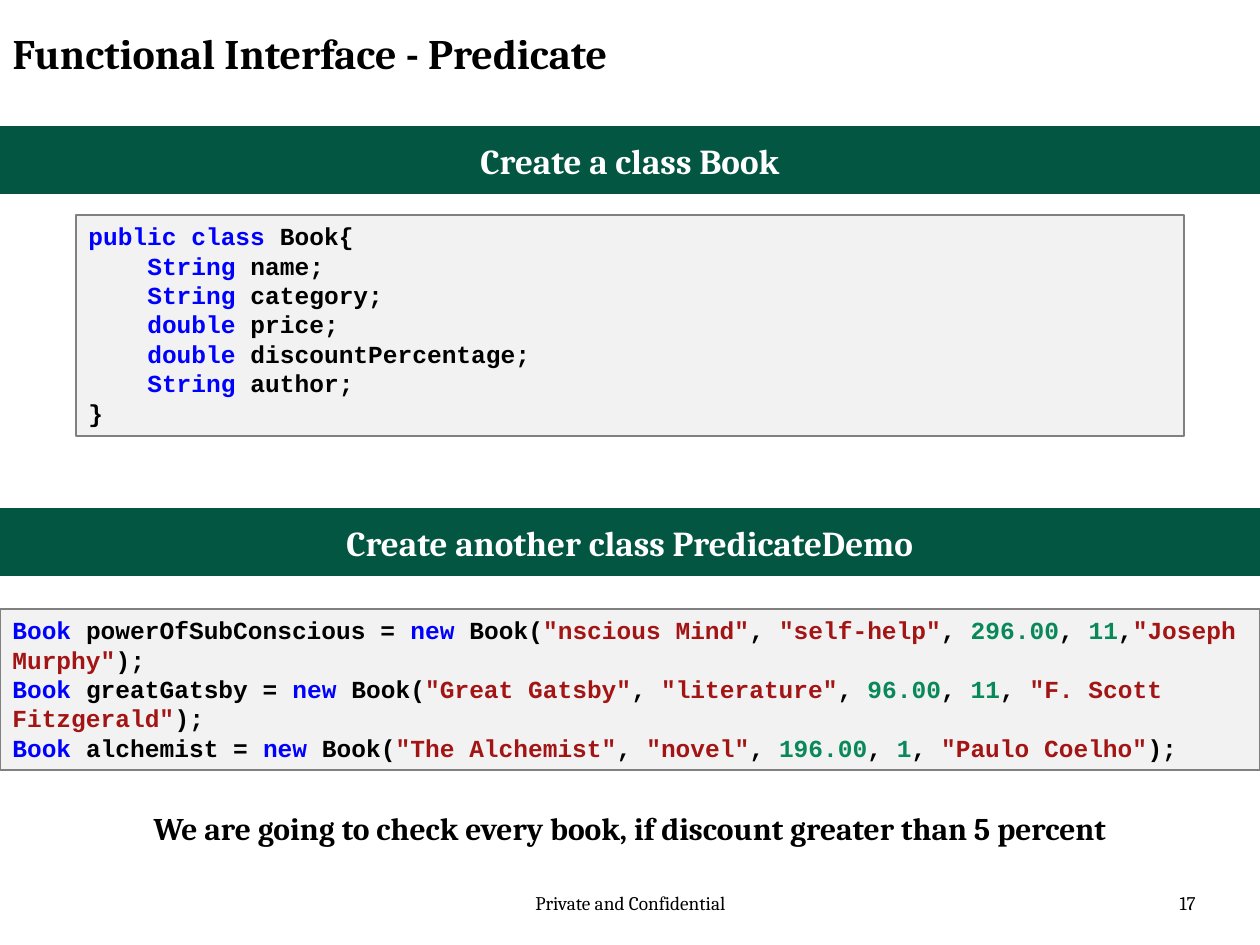
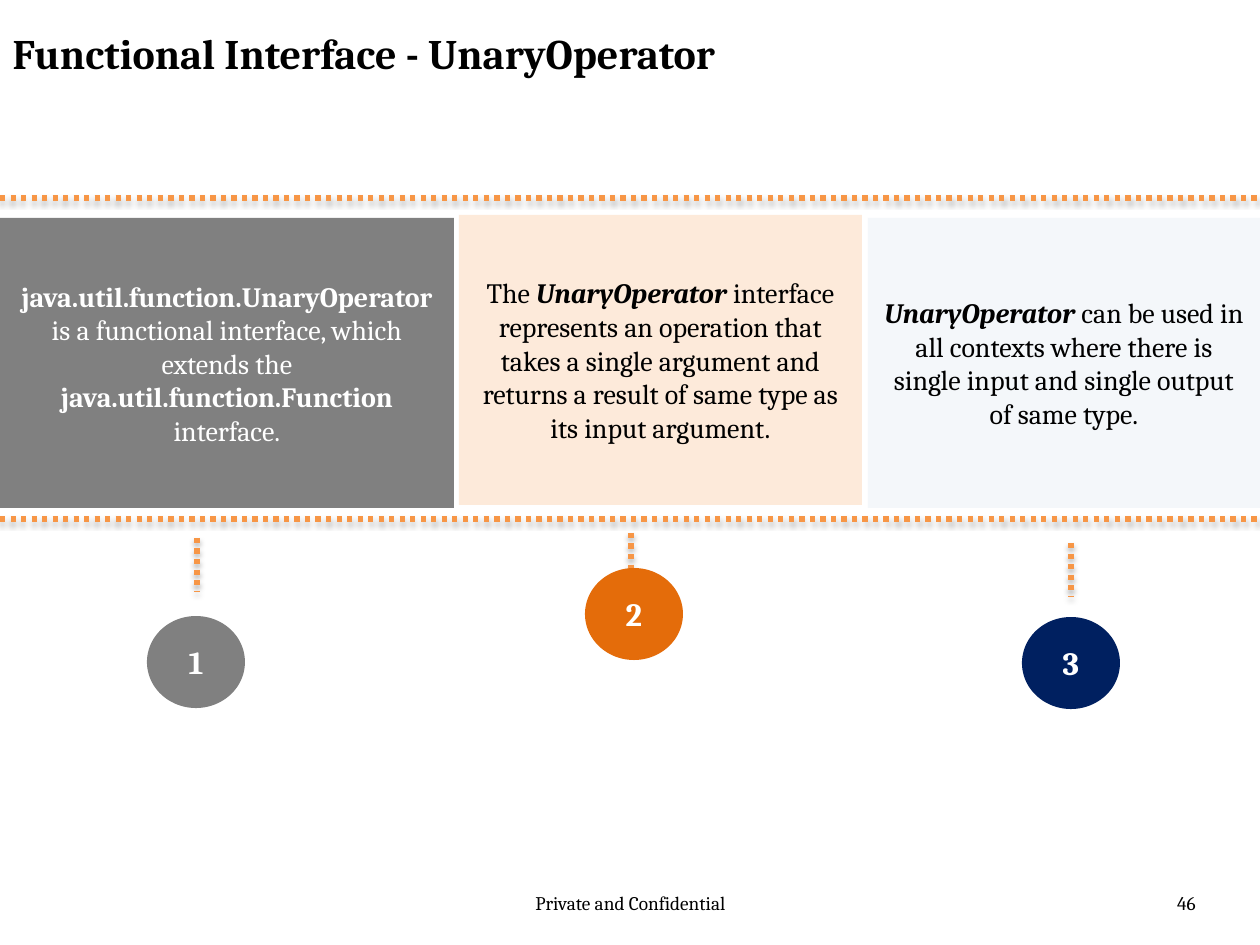
"""Build two slides on the Predicate and UnaryOperator functional interfaces."""
from dataclasses import dataclass

from lxml.etree import SubElement
from pptx import Presentation
from pptx.dml.color import RGBColor
from pptx.enum.dml import MSO_LINE
from pptx.enum.shapes import MSO_CONNECTOR as CONNECTOR, MSO_SHAPE as SHAPE
from pptx.enum.text import MSO_ANCHOR as ANCHOR, PP_ALIGN as ALIGN
from pptx.oxml.ns import qn
from pptx.util import Emu, Pt


@dataclass(frozen=True)
class Theme:
    """Colours, fonts and type sizes of the deck."""
    serif: str = "Cambria"
    mono: str = "Courier New"
    black: str = "000000"
    white: str = "FFFFFF"
    green: str = "035642"
    panel: str = "F2F2F2"
    gray: str = "808080"
    peach: str = "FDEADA"
    pale_blue: str = "DCE6F2"
    orange: str = "E46C0A"
    navy: str = "002060"
    dots: str = "F79646"
    keyword: str = "0000FF"
    string: str = "A31515"
    number: str = "09885A"
    title_size: float = 24
    band_size: float = 20
    badge_size: float = 18.5
    message_size: float = 18
    card_size: float = 16
    code_size: float = 14
    footer_size: float = 11


THEME = Theme()
PX = 914400 / 126
WIDTH, HEIGHT = 1260, 945

KEYWORD = {"color": THEME.keyword}
STRING = {"color": THEME.string}
NUMBER = {"color": THEME.number}
BOLD = {"bold": True}
TERM = {"bold": True, "italic": True}

FOOTER = "Private and Confidential"
PREDICATE = {"title": "Functional Interface - Predicate", "number": "17"}
UNARY = {"title": "Functional Interface - UnaryOperator", "number": "46"}
BANDS = [("Create a class Book", 126), ("Create another class PredicateDemo", 508)]
FIELDS = [
    ("String", "name"),
    ("String", "category"),
    ("double", "price"),
    ("double", "discountPercentage"),
    ("String", "author"),
]
BOOKS = [
    ("powerOfSubConscious", "nscious Mind", "self-help", "296.00", "11", ",", "Joseph Murphy"),
    ("greatGatsby", "Great Gatsby", "literature", "96.00", "11", ", ", "F. Scott Fitzgerald"),
    ("alchemist", "The Alchemist", "novel", "196.00", "1", ", ", "Paulo Coelho"),
]
MESSAGE = "We are going to check every book, if discount greater than 5 percent"
CARDS = [
    {"box": (0, 218, 454, 290), "fill": THEME.gray, "color": THEME.white, "alpha": None,
     "spans": [("java.util.function.UnaryOperator", BOLD),
               " is a functional interface, which extends the ",
               ("java.util.function.Function ", BOLD), "interface."]},
    {"box": (459, 215, 403, 290), "fill": THEME.peach, "color": THEME.black, "alpha": None,
     "spans": ["The ", ("UnaryOperator ", TERM),
               "interface represents an operation that takes a single argument "
               "and returns a result of same type as its input argument."]},
    {"box": (868, 218, 392, 290), "fill": THEME.pale_blue, "color": THEME.black, "alpha": 31,
     "spans": [("UnaryOperator ", TERM),
               "can be used in all contexts where there is single input "
               "and single output of same type."]},
]
RULES = [198, 519]
STEM_LENGTH = 54
STEMS = [(631, 533), (197, 538), (1071, 543)]
BADGES = [(147, 616, THEME.gray), (585, 568, THEME.orange), (1022, 617, THEME.navy)]


def emu(*lengths):
    """Turn px lengths into EMU."""
    return [Emu(round(length * PX)) for length in lengths]


def rgb(color):
    """Turn a hex string into a colour."""
    return RGBColor.from_string(color)


def write(frame, paragraphs, size, color=THEME.black, font=THEME.serif, bold=False,
          align=ALIGN.LEFT, anchor=ANCHOR.TOP):
    """Fill a text frame with paragraphs of plain or formatted spans."""
    frame.word_wrap = True
    frame.vertical_anchor = anchor
    for index, spans in enumerate(paragraphs):
        para = frame.paragraphs[0] if index == 0 else frame.add_paragraph()
        para.alignment = align
        for span in spans:
            text, style = (span, {}) if isinstance(span, str) else span
            run = para.add_run()
            run.text = text
            run.font.name = font
            run.font.size = Pt(size)
            run.font.bold = style.get("bold", bold)
            run.font.italic = style.get("italic", False)
            run.font.color.rgb = rgb(style.get("color", color))


def add_box(page, kind, box, fill, line=None, alpha=None):
    """Add a flat filled shape and return it."""
    shape = page.shapes.add_shape(kind, *emu(*box))
    shape.shadow.inherit = False
    shape.fill.solid()
    shape.fill.fore_color.rgb = rgb(fill)
    if alpha is not None:
        color = shape.fill._xPr.find(qn("a:solidFill"))[0]
        SubElement(color, qn("a:alpha"), val=str(alpha * 1000))
    if line:
        shape.line.color.rgb = rgb(line)
        shape.line.width = Pt(0.75)
    else:
        shape.line.fill.background()
    return shape


def add_label(page, box, text, **style):
    """Add a text box holding one line."""
    write(page.shapes.add_textbox(*emu(*box)).text_frame, [[text]], **style)


def add_code(page, box, lines):
    """Add a code panel."""
    panel = add_box(page, SHAPE.RECTANGLE, box, THEME.panel, line=THEME.gray)
    write(panel.text_frame, lines, size=THEME.code_size, font=THEME.mono, bold=True)


def add_dotted_line(page, *ends):
    """Add a dotted line with a soft shadow."""
    line = page.shapes.add_connector(CONNECTOR.STRAIGHT, *emu(*ends))
    line.line.color.rgb = rgb(THEME.dots)
    line.line.width = Pt(3)
    line.line.dash_style = MSO_LINE.ROUND_DOT
    effects = SubElement(line._element.spPr, qn("a:effectLst"))
    shadow = SubElement(effects, qn("a:outerShdw"), blurRad=str(Pt(3.1)), dist=str(Pt(1.8)),
                        dir="5400000", rotWithShape="0")
    color = SubElement(shadow, qn("a:srgbClr"), val=THEME.black)
    SubElement(color, qn("a:alpha"), val="35000")


def add_page(deck, title, number):
    """Add a page with its title and footer."""
    page = deck.slides.add_slide(deck.slide_layouts[5])
    heading = page.shapes.title
    heading.left, heading.top, heading.width, heading.height = emu(0, 21, 956, 78)
    write(heading.text_frame, [[title]], size=THEME.title_size, bold=True)
    add_label(page, (431, 885, 399, 50), FOOTER, size=THEME.footer_size, align=ALIGN.CENTER)
    add_label(page, (914, 885, 294, 50), number, size=THEME.footer_size, align=ALIGN.RIGHT)
    return page


def class_lines():
    """Return the coloured lines of the Book class."""
    fields = [["    ", (kind, KEYWORD), f" {name};"] for kind, name in FIELDS]
    return [[("public class", KEYWORD), " Book{"], *fields, ["}"]]


def book_line(variable, title, category, price, discount, separator, author):
    """Return the coloured line that creates one book."""
    return [("Book", KEYWORD), f" {variable} = ", ("new", KEYWORD), " Book(",
            (f'"{title}"', STRING), ", ", (f'"{category}"', STRING), ", ",
            (price, NUMBER), ", ", (discount, NUMBER), separator,
            (f'"{author}"', STRING), ");"]


def build_predicate(deck):
    """Build the Predicate page."""
    page = add_page(deck, **PREDICATE)
    for text, top in BANDS:
        band = add_box(page, SHAPE.RECTANGLE, (0, top, WIDTH, 68), THEME.green)
        write(band.text_frame, [[text]], size=THEME.band_size, color=THEME.white, bold=True,
              align=ALIGN.CENTER, anchor=ANCHOR.MIDDLE)
    add_code(page, (76, 215, 1108, 221), class_lines())
    add_code(page, (0, 609, WIDTH, 161), [book_line(*book) for book in BOOKS])
    add_label(page, (35, 803, 1190, 50), MESSAGE, size=THEME.message_size, bold=True,
              align=ALIGN.CENTER)


def build_unary(deck):
    """Build the UnaryOperator page."""
    page = add_page(deck, **UNARY)
    for left, top in STEMS:
        add_dotted_line(page, left, top, left, top + STEM_LENGTH)
    for card in CARDS:
        shape = add_box(page, SHAPE.RECTANGLE, card["box"], card["fill"], alpha=card["alpha"])
        write(shape.text_frame, [card["spans"]], size=THEME.card_size, color=card["color"],
              align=ALIGN.CENTER, anchor=ANCHOR.MIDDLE)
    for top in RULES:
        add_dotted_line(page, 0, top, WIDTH, top)
    for number, (left, top, fill) in enumerate(BADGES, start=1):
        badge = add_box(page, SHAPE.OVAL, (left, top, 98, 92), fill)
        write(badge.text_frame, [[str(number)]], size=THEME.badge_size, color=THEME.white,
              bold=True, align=ALIGN.CENTER, anchor=ANCHOR.MIDDLE)


def main():
    """Build and save the deck."""
    deck = Presentation()
    deck.slide_width, deck.slide_height = emu(WIDTH, HEIGHT)
    build_predicate(deck)
    build_unary(deck)
    deck.save("out.pptx")


if __name__ == "__main__":
    main()
